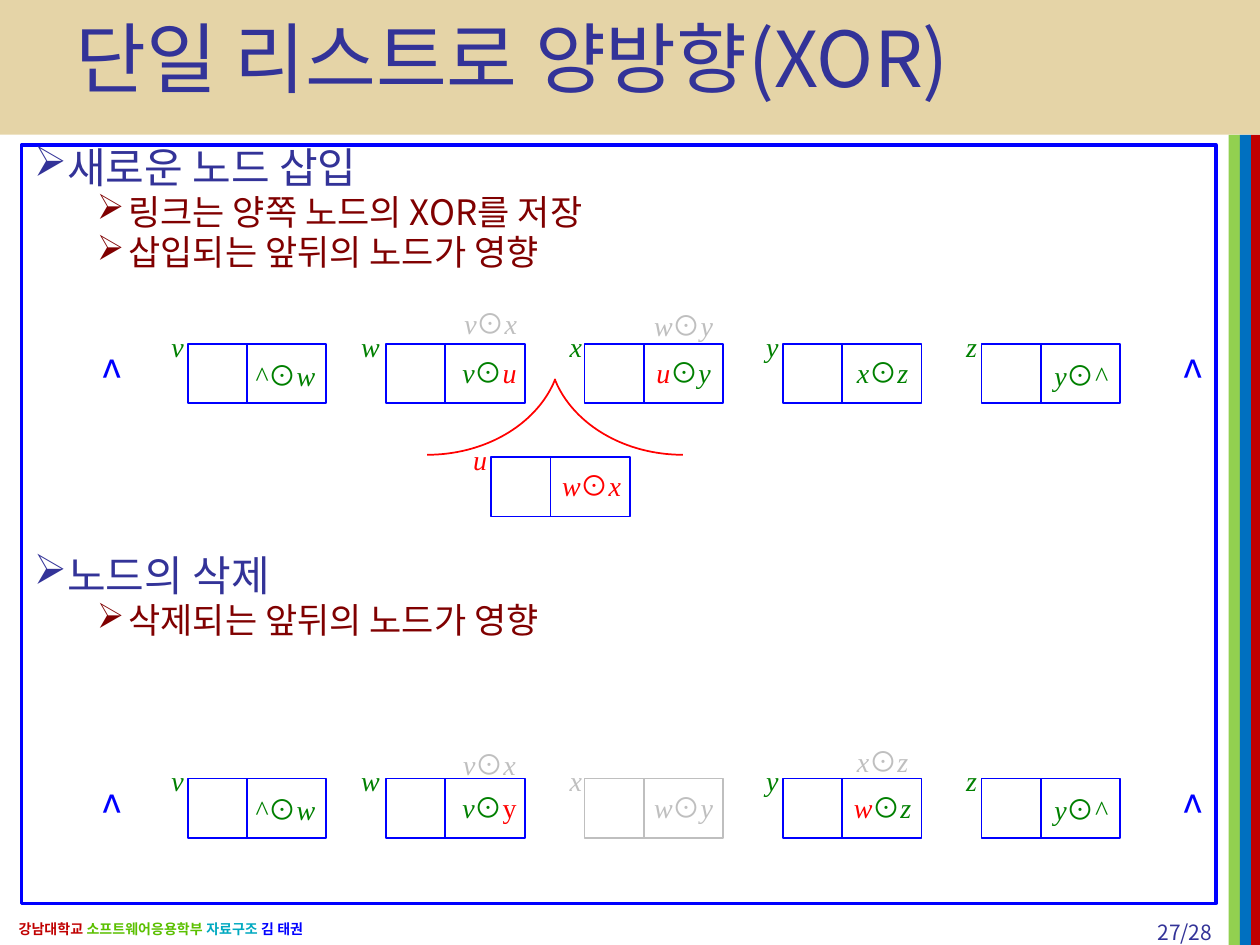
from lxml import etree
from pptx import Presentation
from pptx import util as u
from pptx.dml.color import RGBColor
from pptx.enum import shapes, text
from pptx.oxml.ns import qn

SANS, SERIF = "Noto Sans CJK KR", "Times New Roman"
BLUE, GREEN, RED, GRAY = "0000FF", "008000", "FF0000", "BFBFBF"
INDIGO, MAROON = "333398", "800000"
LEFT, CENTER, RIGHT = text.PP_ALIGN.LEFT, text.PP_ALIGN.CENTER, text.PP_ALIGN.RIGHT
NODE_X, NODE_STEP, NODE_W, NODE_H, LINK_DX = 1.49, 1.575, 1.1, 0.47, 0.47
LABEL_X = [1.3, 2.83, 4.46, 6.02, 7.6]
FORMULA_X = [2, 3.62, 5.16, 6.74, 8.31]
FORMULA_DY = [0.15, 0.13, 0.13, 0.13, 0.15]


def color(value):
    return RGBColor.from_string(value)


def inches(*values):
    return [u.Inches(v) for v in values]


def add_run(p, words, size, hue, font=SANS, bold=False, italic=False):
    r = p.add_run()
    r.text = words
    f = r.font
    f.size, f.name, f.bold, f.italic = u.Pt(size), font, bold, italic
    f.color.rgb = color(hue)
    ea = etree.SubElement(r.font._element, qn("a:ea"))
    ea.set("typeface", font)


def add_box(s, at, fill=None, line=None, width=1, kind=shapes.MSO_SHAPE.RECTANGLE):
    sp = s.shapes.add_shape(kind, *inches(*at))
    sp.shadow.inherit = False
    if fill:
        sp.fill.solid()
        sp.fill.fore_color.rgb = color(fill)
    else:
        sp.fill.background()
    if line:
        sp.line.color.rgb = color(line)
        sp.line.width = u.Pt(width)
    else:
        sp.line.fill.background()
    return sp


def add_text(s, at, align=CENTER, anchor=text.MSO_ANCHOR.MIDDLE, wrap=False, tight=False):
    tf = s.shapes.add_textbox(*inches(*at)).text_frame
    tf.word_wrap, tf.vertical_anchor = wrap, anchor
    if tight:
        tf.margin_left, tf.margin_top, tf.margin_right, tf.margin_bottom = inches(0, 0, 0, 0.05)
    p = tf.paragraphs[0]
    p.alignment = align
    return p


def add_divider(s, x, y, hue):
    line = s.shapes.add_connector(
        shapes.MSO_CONNECTOR.STRAIGHT, *inches(x, y, x, y + NODE_H))
    line.line.color.rgb = color(hue)
    line.line.width = u.Pt(1)
    etree.SubElement(line._element.spPr, qn("a:effectLst"))


def add_node(s, x, y, hue=BLUE):
    add_box(s, (x, y, NODE_W, NODE_H), line=hue)
    add_divider(s, x + LINK_DX, y, hue)


def add_label(s, x, y, letter, hue):
    p = add_text(s, (x, y, 0.22, 0.24), tight=True)
    add_run(p, letter, 16, hue, SERIF, italic=True)


def add_formula(s, x, y, letters, hues, upright=""):
    p = add_text(s, (x, y, 0.53, 0.24), tight=True)
    left, right = letters
    for words, hue in zip((left, "⊙", right), hues):
        symbol = words == "⊙"
        add_run(p, words, 16, hue, SANS if symbol else SERIF,
                italic=not symbol and words not in upright)


def add_list(s, y, nodes):
    for x in (0.7, 9.28):
        add_run(add_text(s, (x, y + 0.01, 0.28, 0.47)), "^", 24, BLUE)
    for i, (name, name_hue, letters, hues, upright) in enumerate(nodes):
        add_node(s, NODE_X + i * NODE_STEP, y, GRAY if name_hue == GRAY else BLUE)
        add_label(s, LABEL_X[i], y - 0.08, name, name_hue)
        add_formula(s, FORMULA_X[i], y + FORMULA_DY[i], letters, hues, upright)


def add_arc(s, x, flips):
    sp = add_box(s, (x, 1.87, 2.14, 1.74), line=RED, kind=shapes.MSO_SHAPE.ARC)
    sp.adjustments[0], sp.adjustments[1] = 162, 207.13
    for flip in flips:
        sp._element.spPr.xfrm.set(flip, "1")


def add_bullet(p, words, level, before):
    p.level, p.alignment = level, LEFT
    p.line_spacing, p.space_before = 0.8, u.Pt(before)
    ppr = p._p.get_or_add_pPr()
    ppr.set("marL", str(u.Inches(0.25 + 0.5 * level)))
    ppr.set("indent", str(u.Inches(-0.25)))
    etree.SubElement(ppr, qn("a:buChar")).set("char", "➢")
    add_run(p, words, 20 if level else 24, MAROON if level else INDIGO)


def add_body(s):
    tf = add_box(s, (0.17, 1.15, 9.48, 6.02), line=BLUE, width=2).text_frame
    tf.word_wrap, tf.vertical_anchor = True, text.MSO_ANCHOR.TOP
    items = [
        ("새로운 노드 삽입", 0, 0),
        ("링크는 양쪽 노드의 XOR를 저장", 1, 4),
        ("삽입되는 앞뒤의 노드가 영향", 1, 4),
        ("노드의 삭제", 0, 164),
        ("삭제되는 앞뒤의 노드가 영향", 1, 4),
    ]
    for i, item in enumerate(items):
        add_bullet(tf.add_paragraph() if i else tf.paragraphs[0], *item)


def add_frame(s):
    add_box(s, (0, 0, 10, 1.07), "E5D4A7")
    for i, hue in enumerate(("92D050", "0070C0", "C00000")):
        add_box(s, (9.75 + i * 0.09, 1.07, 0.09, 6.43), hue)
    p = add_text(s, (0.05, 7.25, 3.53, 0.25), LEFT, wrap=True)
    for words, hue in (("강남대학교 ", "C00000"), ("소프트웨어응용학부 ", "5BC000"),
                       ("자료구조 ", "00A9C0"), ("김 태권", BLUE)):
        add_run(p, words, 8, hue, bold=True)
    p = add_text(s, (8.89, 7.25, 0.83, 0.25), RIGHT, text.MSO_ANCHOR.TOP, True)
    add_run(p, "27/28", 12, INDIGO)


def set_title(s):
    title = s.shapes.title
    title.left, title.top, title.width, title.height = inches(0.5, 0, 9, 1)
    title.element.getparent().append(title.element)
    tf = title.text_frame
    tf.vertical_anchor = text.MSO_ANCHOR.MIDDLE
    p = tf.paragraphs[0]
    p.alignment, p.line_spacing = LEFT, 0.9
    add_run(p, "단일 리스트로 양방향(XOR)", 44, INDIGO)


def main():
    prs = Presentation()
    prs.slide_width, prs.slide_height = inches(10, 7.5)
    s = prs.slides.add_slide(prs.slide_layouts[5])
    add_frame(s)
    add_body(s)
    set_title(s)
    same, gone = (GREEN,) * 3, (GRAY,) * 3
    first = ("v", GREEN, "^w", same, "^")
    last = ("z", GREEN, "y^", same, "")
    add_list(s, 2.73, [
        first,
        ("w", GREEN, "vu", (GREEN, GREEN, RED), ""),
        ("x", GREEN, "uy", (RED, GREEN, GREEN), ""),
        ("y", GREEN, "xz", same, ""),
        last,
    ])
    add_node(s, 3.9, 3.63)
    add_label(s, 3.7, 3.55, "u", RED)
    add_formula(s, 4.43, 3.76, "wx", (RED,) * 3)
    add_list(s, 6.18, [
        first,
        ("w", GREEN, "vy", (GREEN, GREEN, RED), "y"),
        ("x", GRAY, "wy", gone, ""),
        ("y", GREEN, "wz", (RED, GREEN, GREEN), ""),
        last,
    ])
    for x, y, letters in ((3.63, 2.47, "vx"), (5.16, 2.49, "wy"),
                          (3.62, 5.97, "vx"), (6.74, 5.95, "xz")):
        add_formula(s, x, y, letters, gone)
    add_arc(s, 2.32, ["flipV"])
    add_arc(s, 4.35, ["flipH", "flipV"])
    prs.save("out.pptx")


if __name__ == "__main__":
    main()
